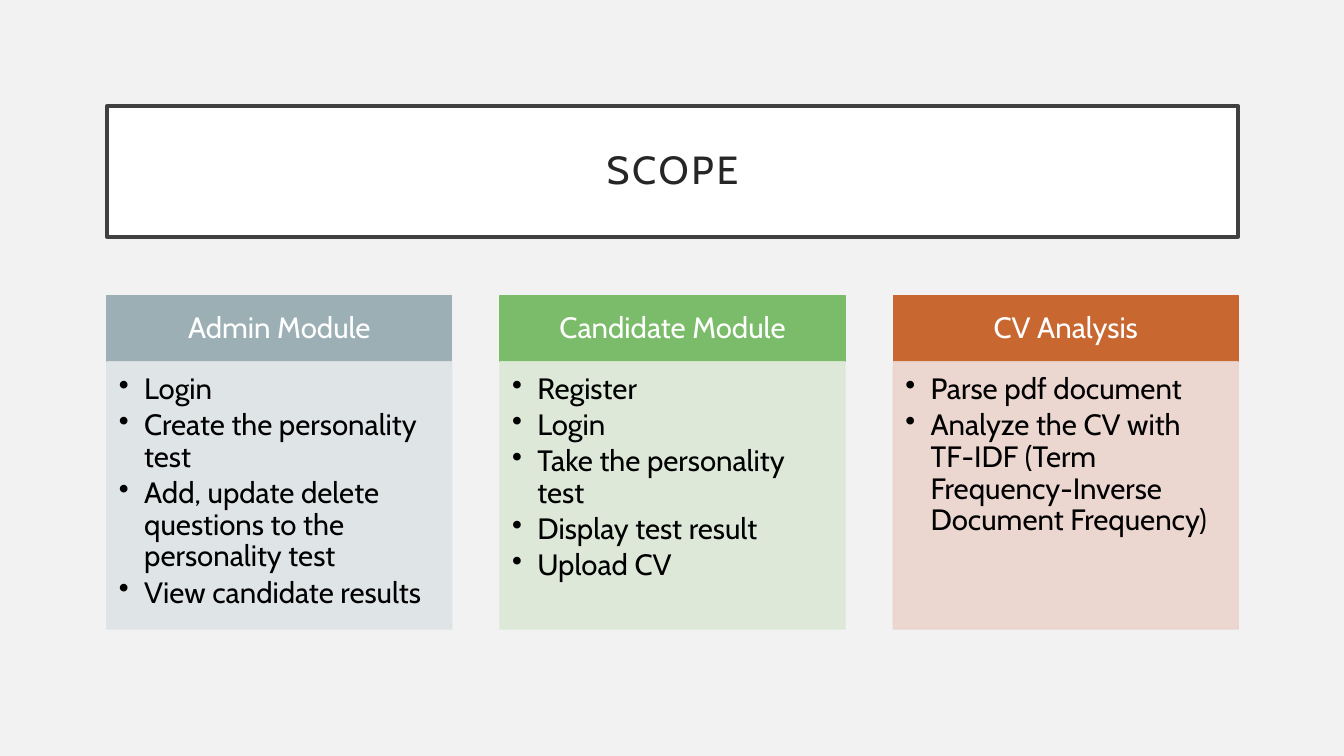
"""Build the Scope slide: a framed title above three module cards."""
from lxml.etree import SubElement
from pptx import Presentation
from pptx.dml.color import RGBColor as RGB
from pptx.enum.shapes import MSO_SHAPE as SHAPE
from pptx.enum.text import MSO_ANCHOR as ANCHOR, MSO_AUTO_SIZE as AUTO, PP_ALIGN as ALIGN
from pptx.oxml.ns import qn
from pptx.util import Inches, Pt

FONT = "Cabin"
WHITE = RGB(0xFF, 0xFF, 0xFF)
BLACK = RGB(0x00, 0x00, 0x00)
PAPER = RGB(0xF2, 0xF2, 0xF2)
FRAME = RGB(0x40, 0x40, 0x40)
INK = RGB(0x26, 0x26, 0x26)
SLATE, MIST = RGB(0x9B, 0xAF, 0xB5), RGB(0xDE, 0xE3, 0xE5)
GREEN, MINT = RGB(0x7A, 0xBC, 0x69), RGB(0xDB, 0xE8, 0xD6)
RUST, BLUSH = RGB(0xC9, 0x67, 0x31), RGB(0xEB, 0xD3, 0xCD)

LEFT, WIDTH, STEP = 1.06, 3.42, 3.9
CARDS = [
    ("Admin Module", SLATE, MIST, [
        "Login",
        "Create the personality test",
        "Add, update delete questions to the personality test",
        "View candidate results",
    ]),
    ("Candidate Module", GREEN, MINT, [
        "Register",
        "Login",
        "Take the personality test",
        "Display test result",
        "Upload CV",
    ]),
    ("CV Analysis", RUST, BLUSH, [
        "Parse pdf document",
        "Analyze the CV with TF-IDF (Term Frequency-Inverse Document Frequency)",
    ]),
]


def place(shape, left, top, width, height):
    """Move and size a shape, in inches."""
    shape.left, shape.top = Inches(left), Inches(top)
    shape.width, shape.height = Inches(width), Inches(height)


def paint(shape, fill, line, weight):
    """Give a shape a solid fill and outline."""
    shape.fill.solid()
    shape.fill.fore_color.rgb = fill
    shape.line.color.rgb = line
    shape.line.width = Pt(weight)


def fade(shape, percent):
    """Set the opacity of the fill and outline of a shape."""
    for color in shape.element.spPr.iter(qn("a:srgbClr")):
        SubElement(color, qn("a:alpha"), val=str(percent * 1000))


def frame(shape, anchor, left, top, right, bottom):
    """Set the anchor and insets of a shape's text, and return its frame."""
    text = shape.text_frame
    text.word_wrap, text.auto_size = True, AUTO.NONE
    text.vertical_anchor = anchor
    text.margin_left, text.margin_top = Inches(left), Inches(top)
    text.margin_right, text.margin_bottom = Inches(right), Inches(bottom)
    return text


def style(para, size, color, align, after=0):
    """Set the font, alignment and spacing of a paragraph."""
    para.font.name, para.font.size = FONT, Pt(size)
    para.font.color.rgb = color
    para.alignment, para.line_spacing = align, 0.9
    para.space_before, para.space_after = Pt(0), Pt(after)


def bullet(para):
    """Give a paragraph a round bullet and a hanging indent."""
    props = para._p.get_or_add_pPr()
    props.set("marL", str(Inches(0.25)))
    props.set("indent", str(Inches(-0.25)))
    mark = props.makeelement(qn("a:buChar"), {"char": "•"})
    props.insert_element_before(mark, "a:tabLst", "a:defRPr", "a:extLst")


def add_title(slide, words):
    """Fill and format the title placeholder."""
    title = slide.shapes.title
    place(title, LEFT, 1.05, 11.22, 1.3)
    paint(title, WHITE, FRAME, 2.5)
    text = frame(title, ANCHOR.MIDDLE, 0.2, 0.2, 0.2, 0.2)
    text.text = words
    para = text.paragraphs[0]
    style(para, 28, INK, ALIGN.CENTER)
    para.runs[0]._r.get_or_add_rPr().set("spc", "200")


def add_box(slide, left, top, height, color):
    """Add a plain rectangle one card wide."""
    box = slide.shapes.add_shape(SHAPE.RECTANGLE, 0, 0, 0, 0)
    place(box, left, top, WIDTH, height)
    paint(box, color, color, 1)
    box.shadow.inherit = False
    return box


def add_card(slide, left, name, dark, pale, items):
    """Add a heading bar with a bulleted panel below it."""
    head = add_box(slide, left, 2.93, 0.66, dark)
    text = frame(head, ANCHOR.MIDDLE, 0.16, 0.09, 0.16, 0.09)
    text.text = name
    style(text.paragraphs[0], 21, WHITE, ALIGN.CENTER)

    panel = add_box(slide, left, 3.59, 2.65, pale)
    fade(panel, 90)
    text = frame(panel, ANCHOR.TOP, 0.12, 0.12, 0.16, 0.18)
    text.text = "\n".join(items)
    for para in text.paragraphs:
        style(para, 21, BLACK, ALIGN.LEFT, 3.15)
        bullet(para)


def main():
    """Build the slide and save it."""
    deck = Presentation()
    deck.slide_width, deck.slide_height = Inches(13.33), Inches(7.5)
    slide = deck.slides.add_slide(deck.slide_layouts.get_by_name("Title Only"))
    slide.background.fill.solid()
    slide.background.fill.fore_color.rgb = PAPER
    add_title(slide, "SCOPE")
    for index, card in enumerate(CARDS):
        add_card(slide, LEFT + index * STEP, *card)
    deck.save("out.pptx")


if __name__ == "__main__":
    main()
